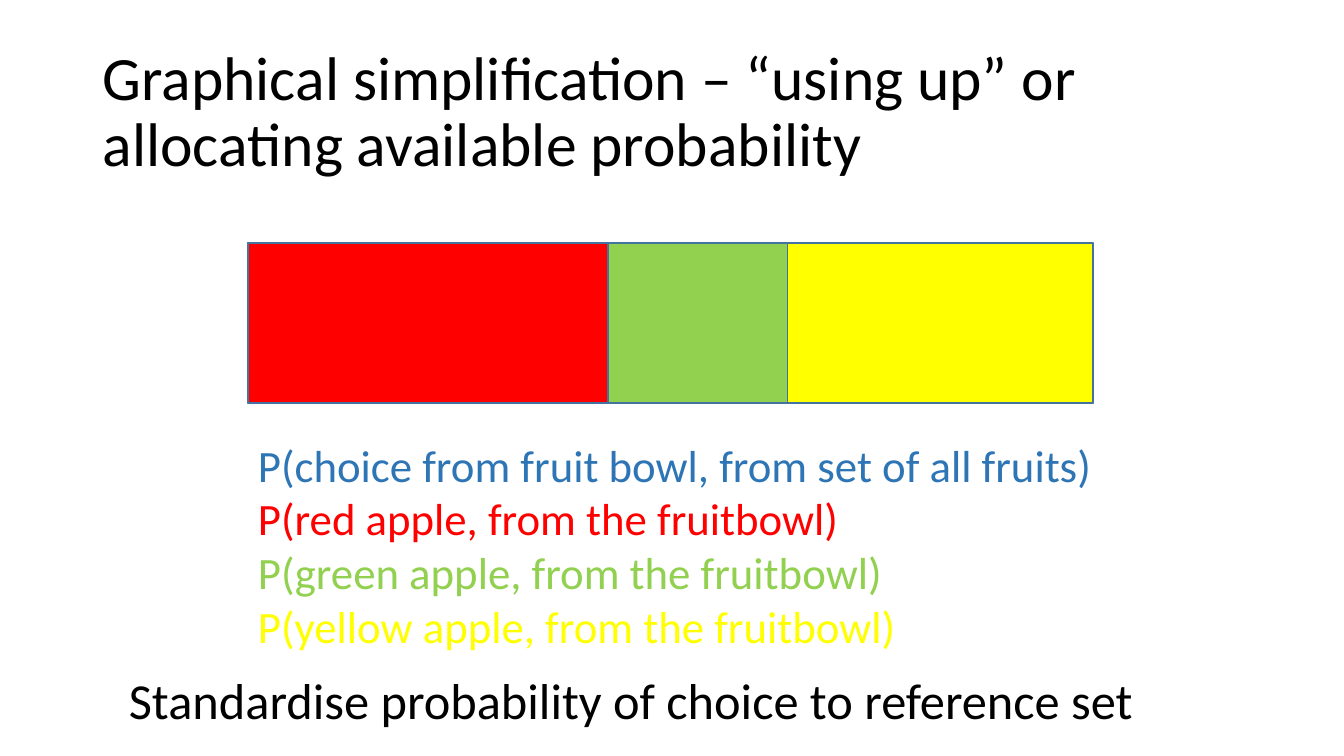
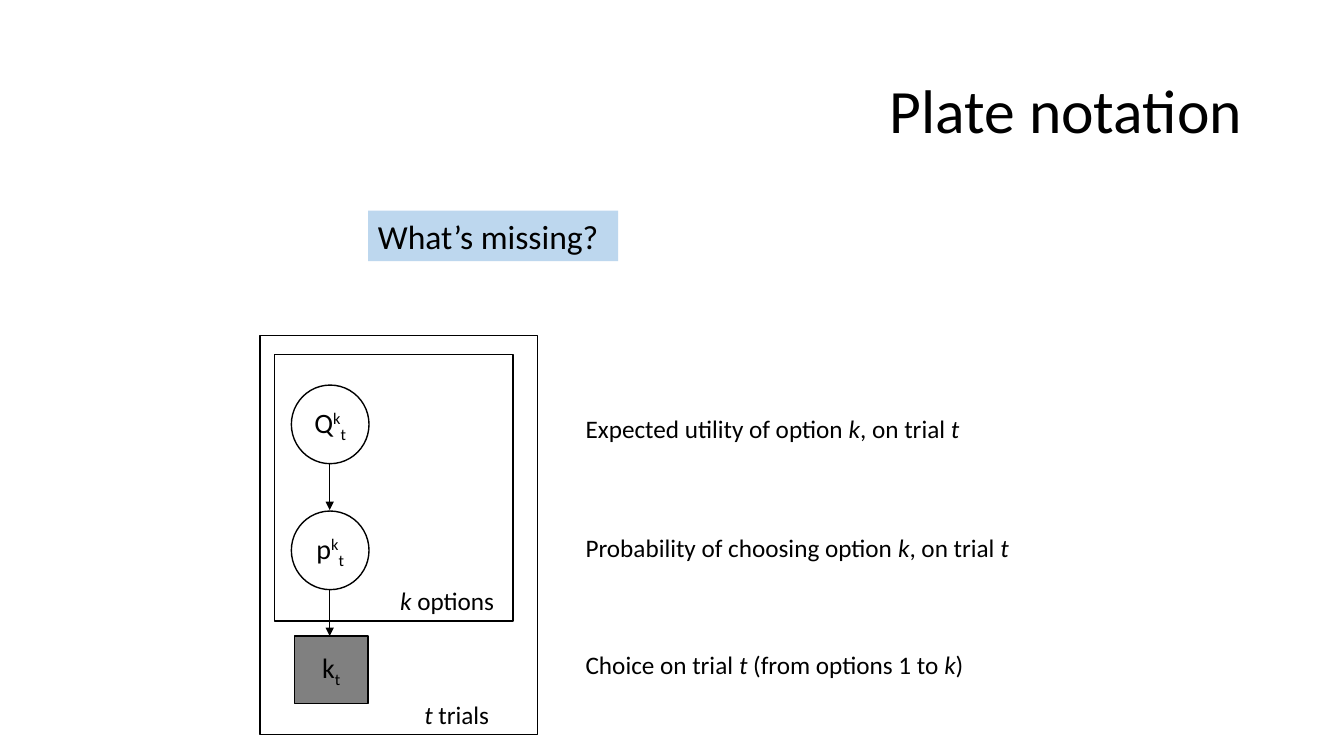
from dataclasses import dataclass

from lxml import etree
from pptx import Presentation
from pptx.dml.color import RGBColor
from pptx.enum.shapes import MSO_CONNECTOR, MSO_SHAPE
from pptx.enum.text import MSO_ANCHOR, PP_ALIGN
from pptx.oxml.ns import qn
from pptx.util import Inches, Pt

LEFT, CENTER, RIGHT = PP_ALIGN.LEFT, PP_ALIGN.CENTER, PP_ALIGN.RIGHT
TOP, MIDDLE = MSO_ANCHOR.TOP, MSO_ANCHOR.MIDDLE
RECTANGLE, ELLIPSE = MSO_SHAPE.RECTANGLE, MSO_SHAPE.OVAL
STRAIGHT = MSO_CONNECTOR.STRAIGHT


@dataclass(frozen=True)
class Theme:
    font: str = "Calibri"
    black: str = "000000"
    white: str = "FFFFFF"
    blue: str = "5B9BD5"
    dark_blue: str = "2E75B6"
    outline_blue: str = "43739E"
    pale_blue: str = "BDD7EE"
    red: str = "FF0000"
    green: str = "92D050"
    yellow: str = "FFFF00"
    gray: str = "808080"
    title: int = 44
    statement: int = 36
    formula: int = 32
    question: int = 24
    node: int = 20
    note: int = 18


THEME = Theme()
PLAIN, ITALIC, SUPER, SUB = "plain", "italic", "super", "sub"
BASELINES = {SUPER: "30000", SUB: "-25000"}


def rgb(color):
    return RGBColor.from_string(color)


def write_text(frame, lines, size, color=THEME.black, align=LEFT, anchor=TOP,
               spacing=1.0, wrap=True):
    """Fill a frame; each line is a string or a list of (text, style) runs.

    A list of colors gives one color per line.
    """
    frame.word_wrap = wrap
    frame.vertical_anchor = anchor
    colors = color if isinstance(color, list) else [color] * len(lines)
    for index, (line, line_color) in enumerate(zip(lines, colors)):
        paragraph = frame.add_paragraph() if index else frame.paragraphs[0]
        paragraph.alignment = align
        paragraph.line_spacing = spacing
        for text, style in [(line, PLAIN)] if isinstance(line, str) else line:
            run = paragraph.add_run()
            run.text = text
            run.font.name = THEME.font
            run.font.size = Pt(size)
            run.font.color.rgb = rgb(line_color)
            run.font.italic = style == ITALIC
            if style in BASELINES:
                run._r.get_or_add_rPr().set("baseline", BASELINES[style])


class Deck:
    def __init__(self):
        self.presentation = Presentation()
        self.presentation.slide_width = Inches(13.33)
        self.presentation.slide_height = Inches(7.5)
        self.slide = None

    def new_slide(self, title, align=LEFT):
        blank = self.presentation.slide_layouts[6]
        self.slide = self.presentation.slides.add_slide(blank)
        background = self.slide.background.fill
        background.solid()
        background.fore_color.rgb = rgb(THEME.white)
        self.text((0.92, 0.4, 11.5, 1.45), [title], size=THEME.title,
                  align=align, anchor=MIDDLE, spacing=0.9)

    def text(self, box, lines, **style):
        shape = self.slide.shapes.add_textbox(*map(Inches, box))
        write_text(shape.text_frame, lines, **style)

    def shape(self, kind, box, fill=None, line=None):
        shape = self.slide.shapes.add_shape(kind, *map(Inches, box))
        shape.shadow.inherit = False
        if fill:
            shape.fill.solid()
            shape.fill.fore_color.rgb = rgb(fill)
        else:
            shape.fill.background()
        if line:
            shape.line.color.rgb = rgb(line)
            shape.line.width = Pt(1)
        else:
            shape.line.fill.background()
        return shape

    def node(self, kind, box, runs, fill=None):
        frame = self.shape(kind, box, fill, THEME.black).text_frame
        frame.margin_left = frame.margin_right = 0
        write_text(frame, [runs], size=THEME.node, align=CENTER,
                   anchor=MIDDLE, wrap=False)

    def plate(self, box, index, noun):
        """Draw a repetition frame, labelled in its lower right corner."""
        left, top, width, height = box
        self.shape(RECTANGLE, box, line=THEME.black)
        label_width = 1.22
        label_left = left + width - label_width
        self.text((label_left, top + height - 0.4, label_width, 0.4),
                  [[(index + " ", ITALIC), (noun, PLAIN)]], size=THEME.note)

    def arrow_down(self, x, top, length):
        connector = self.slide.shapes.add_connector(
            STRAIGHT, *map(Inches, (x, top, x, top + length)))
        connector.line.color.rgb = rgb(THEME.black)
        connector.line.width = Pt(0.5)
        line = connector.line._get_or_add_ln()
        etree.SubElement(line, qn("a:tailEnd"), type="triangle")
        etree.SubElement(connector._element.spPr, qn("a:effectLst"))


def add_probability_slide(deck):
    deck.new_slide("Graphical simplification – “using up” or "
                   "allocating available probability")
    left, top, height = 2.46, 2.41, 1.59
    segments = [(3.57, THEME.red), (1.78, THEME.green), (3.03, THEME.yellow)]
    total = sum(width for width, _ in segments)
    deck.shape(RECTANGLE, (left, top, total, height), THEME.blue,
               THEME.outline_blue)
    segment_left = left
    for width, color in segments:
        deck.shape(RECTANGLE, (segment_left, top, width, height), color,
                   THEME.outline_blue)
        segment_left += width

    formulas = ["P(choice from fruit bowl, from set of all fruits)"]
    formulas += [f"P({fruit} apple, from the fruitbowl)"
                 for fruit in ("red", "green", "yellow")]
    deck.text((left, 4.29, 8.51, 2.66), formulas, size=THEME.formula,
              color=[THEME.dark_blue] + [color for _, color in segments])
    deck.text((1.16, 6.59, 10.2, 0.71),
              ["Standardise probability of choice to reference set"],
              size=THEME.statement, align=CENTER)


def add_plate_slide(deck):
    deck.new_slide("Plate notation", align=RIGHT)
    question = deck.shape(RECTANGLE, (3.65, 2.09, 2.48, 0.5), THEME.pale_blue)
    write_text(question.text_frame, ["What’s missing?"], size=THEME.question)

    deck.plate((2.58, 3.33, 2.75, 3.96), "t", "trials")
    deck.plate((2.72, 3.52, 2.37, 2.64), "k", "options")
    for letter, top in (("Q", 3.82), ("p", 5.07)):
        deck.node(ELLIPSE, (2.89, top, 0.77, 0.78),
                  [(letter, PLAIN), ("k", SUPER), ("t", SUB)])
        deck.arrow_down(3.27, top + 0.78, 0.46)
    deck.node(RECTANGLE, (2.92, 6.31, 0.73, 0.67),
              [("k", PLAIN), ("t", SUB)], THEME.gray)

    option_on_trial = [("k", ITALIC), (", on trial ", PLAIN), ("t", ITALIC)]
    notes = [
        (4.05, [("Expected utility of option ", PLAIN), *option_on_trial]),
        (5.23, [("Probability of choosing option ", PLAIN), *option_on_trial]),
        (6.39, [("Choice on trial ", PLAIN), ("t", ITALIC),
                (" (from options 1 to ", PLAIN), ("k", ITALIC), (")", PLAIN)]),
    ]
    for top, runs in notes:
        deck.text((5.71, top, 4.7, 0.4), [runs], size=THEME.note)


def main():
    deck = Deck()
    add_probability_slide(deck)
    add_plate_slide(deck)
    deck.presentation.save("out.pptx")


if __name__ == "__main__":
    main()
